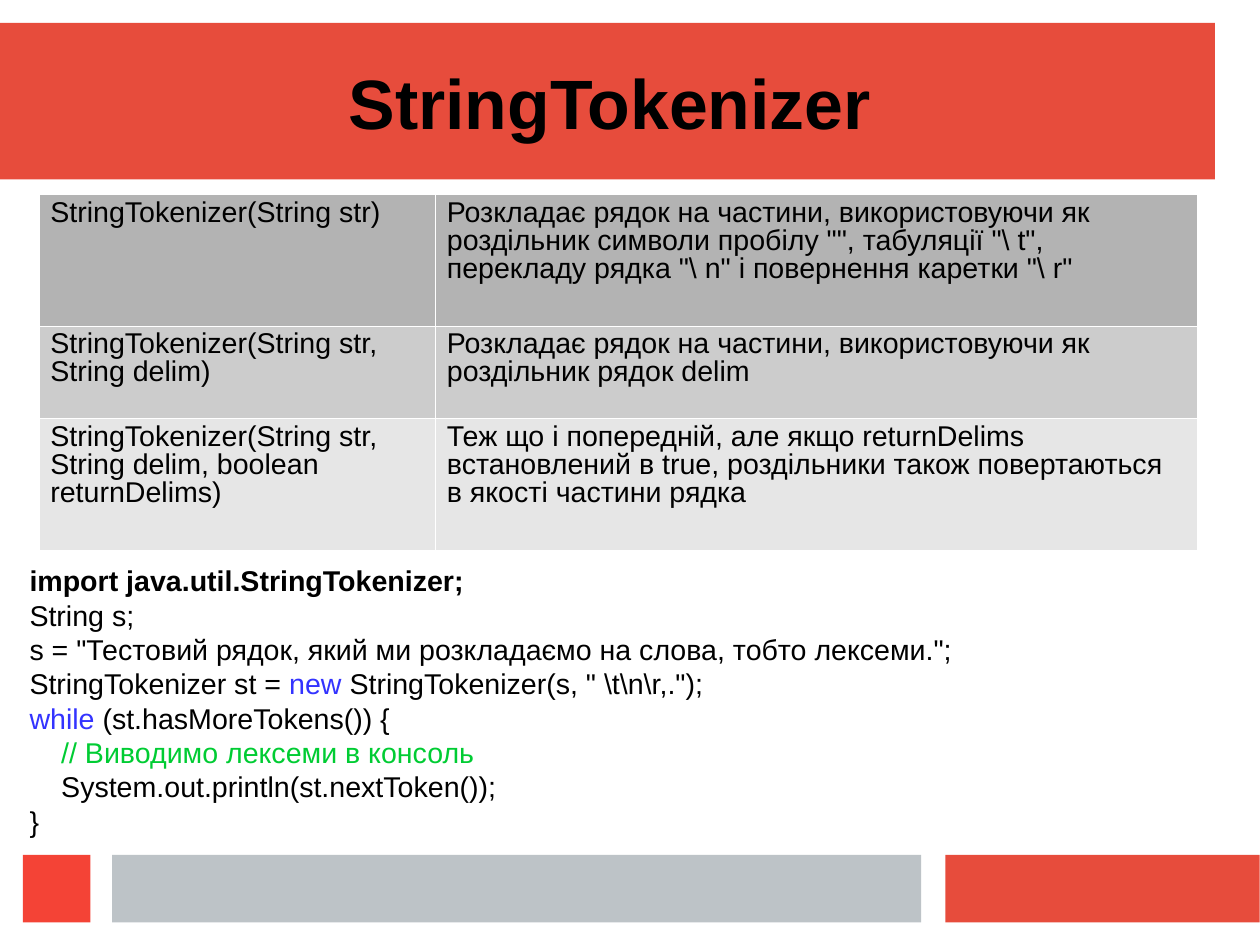
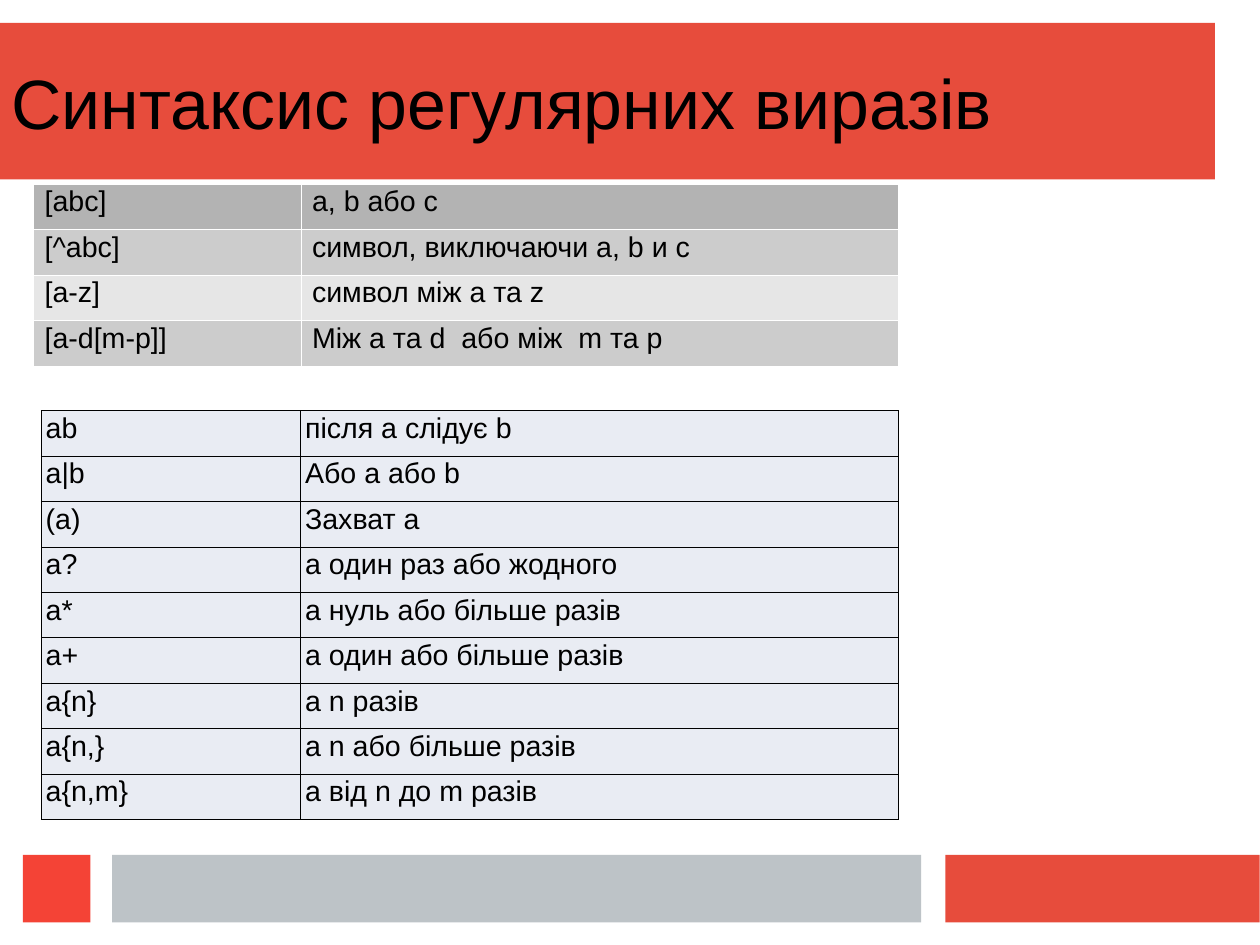
from itertools import cycle

from lxml import etree
from pptx import Presentation
from pptx.dml.color import RGBColor
from pptx.enum.shapes import MSO_SHAPE
from pptx.enum.text import MSO_ANCHOR, MSO_AUTO_SIZE, PP_ALIGN
from pptx.oxml.ns import qn
from pptx.util import Cm, Inches, Pt

RECT = MSO_SHAPE.RECTANGLE
TOP = MSO_ANCHOR.TOP
LEFT = PP_ALIGN.LEFT
NO_FIT = MSO_AUTO_SIZE.NONE

COLORS = {
    "red": "E74C3C",
    "bright": "F44336",
    "silver": "BDC3C7",
    "head": "B3B3B3",
    "dark_row": "CCCCCC",
    "light_row": "E6E6E6",
    "pale": "E9ECF3",
    "text": "000000",
    "white": "FFFFFF",
    "keyword": "3333FF",
    "comment": "00CC33",
}
BANDS = [
    (0, 0.2, 10.63, 1.37, "red"),
    (8.27, 7.48, 2.75, 0.59, "red"),
    (0.98, 7.48, 7.08, 0.59, "silver"),
    (0.2, 7.48, 0.59, 0.59, "bright"),
]
GREY_GRID = ("white", 0.06)
BLACK_GRID = ("text", 0.23)


class Deck:
    font = "Arial"
    title_size = 44
    body_size = 18

    def __init__(self, width, height):
        self.prs = Presentation()
        self.prs.slide_width = width
        self.prs.slide_height = height
        self.layout = self.prs.slide_layouts.get_by_name("Title Only")
        self.s = None

    def rgb(self, name):
        return RGBColor.from_string(COLORS[name])

    def slide(self):
        self.s = self.prs.slides.add_slide(self.layout)

    def layout_bands(self):
        """Draw the bands on the current slide, then move them to its layout, at the back."""
        tree = self.layout.shapes._spTree
        for i, (x, y, w, h, color) in enumerate(BANDS):
            sp = self.s.shapes.add_shape(RECT, Inches(x), Inches(y), Inches(w), Inches(h))
            sp.name = f"Band {i + 1}"
            sp.shadow.inherit = False
            sp.fill.solid()
            sp.fill.fore_color.rgb = self.rgb(color)
            sp.line.fill.background()
            tree.insert(2 + i, sp._element)

    def run(self, p, text, size, color="text", bold=False):
        r = p.add_run()
        r.text = text
        r.font.name = self.font
        r.font.size = Pt(size)
        r.font.bold = bold
        r.font.color.rgb = self.rgb(color)

    def title(self, text, x, w, h, bold=False):
        sp = self.s.shapes.title
        sp.left, sp.top, sp.width, sp.height = Inches(x), Inches(0.47), Inches(w), Inches(h)
        tf = sp.text_frame
        tf.word_wrap = True
        tf.auto_size = NO_FIT
        tf.vertical_anchor = TOP
        p = tf.paragraphs[0]
        p.alignment = LEFT
        self.run(p, text, self.title_size, bold=bold)

    def code(self, lines, x, y, w, h):
        """Each line is a list of (text, color, bold) runs; color and bold may be left out."""
        tf = self.s.shapes.add_textbox(Inches(x), Inches(y), Inches(w), Inches(h)).text_frame
        tf.word_wrap = True
        for i, line in enumerate(lines):
            p = tf.add_paragraph() if i else tf.paragraphs[0]
            for text, *style in line:
                self.run(p, text, self.body_size, *style)

    def borders(self, cell, color, width):
        tc_pr = cell._tc.get_or_add_tcPr()
        for side in ("lnL", "lnR", "lnT", "lnB"):
            ln = etree.SubElement(tc_pr, qn(f"a:{side}"), w=str(int(Pt(width))))
            fill = etree.SubElement(ln, qn("a:solidFill"))
            etree.SubElement(fill, qn("a:srgbClr"), val=COLORS[color])

    def table(self, rows, x, y, cols, heights, grid, fills, inset=0.1):
        frame = self.s.shapes.add_table(len(rows), len(cols), Inches(x), Inches(y),
                                        Inches(sum(cols)), Inches(sum(heights)))
        table = frame.table
        table.first_row = table.horz_banding = False
        for col, w in zip(table.columns, cols):
            col.width = Inches(w)
        for row, h, texts, fill in zip(table.rows, heights, rows, fills):
            row.height = Inches(h)
            for cell, text in zip(row.cells, texts):
                cell.margin_left = cell.margin_right = Inches(inset)
                self.borders(cell, *grid)
                cell.fill.solid()
                cell.fill.fore_color.rgb = self.rgb(fill)
                p = cell.text_frame.paragraphs[0]
                p.line_spacing = 0.87
                self.run(p, text, self.body_size)

    def grey_table(self, rows, x, y, cols, heights):
        fills = ["head"] + [f for f, _ in zip(cycle(["dark_row", "light_row"]), rows[1:])]
        self.table(rows, x, y, cols, heights, GREY_GRID, fills)


def equal_rows(rows, total):
    return [total / len(rows)] * len(rows)


CONSTRUCTORS = [
    ("StringTokenizer(String str)",
     'Розкладає рядок на частини, використовуючи як роздільник символи пробілу "", '
     'табуляції "\\ t", перекладу рядка "\\ n" і повернення каретки "\\ r"'),
    ("StringTokenizer(String str, String delim)",
     "Розкладає рядок на частини, використовуючи як роздільник рядок delim"),
    ("StringTokenizer(String str, String delim, boolean returnDelims)",
     "Теж що і попередній, але якщо returnDelims встановлений в true, "
     "роздільники також повертаються в якості частини рядка"),
]
EXAMPLE = [
    [("import java.util.StringTokenizer;", "text", True)],
    [("String s;",)],
    [('s = "Тестовий рядок, який ми розкладаємо на слова, тобто лексеми.";',)],
    [("StringTokenizer st = ",), ("new", "keyword"),
     (' StringTokenizer(s, " \\t\\n\\r,.");',)],
    [("while", "keyword"), (" (st.hasMoreTokens()) {",)],
    [("    // Виводимо лексеми в консоль", "comment")],
    [("    System.out.println(st.nextToken());",)],
    [("}",)],
]
CHAR_CLASSES = [
    ("[abc]", "a, b або c"),
    ("[^abc]", "символ, виключаючи a, b и c"),
    ("[a-z]", "символ між a та z"),
    ("[a-d[m-p]]", "Між a та d  або між  m та p"),
]
QUANTIFIERS = [
    ("ab", "після a слідує b"),
    ("a|b", "Або a або b"),
    ("(a)", "Захват а"),
    ("а?", "a один раз або жодного"),
    ("a*", "a нуль або більше разів"),
    ("a+", "a один або більше разів"),
    ("a{n}", "a n разів"),
    ("a{n,}", "a n або більше разів"),
    ("a{n,m}", "a від n до m разів"),
]


def main():
    deck = Deck(Cm(28), Cm(21))

    deck.slide()
    deck.layout_bands()
    deck.title("StringTokenizer", 2.95, 6.08, 0.8, bold=True)
    deck.grey_table(CONSTRUCTORS, 0.34, 1.7, [3.47, 6.66], [1.15, 0.81, 1.15])
    deck.code(EXAMPLE, 0.16, 4.88, 10.08, 2.62)

    deck.slide()
    deck.title("Синтаксис регулярних виразів", 0, 10.15, 0.85)
    deck.table(QUANTIFIERS, 0.36, 3.59, [2.27, 5.23], equal_rows(QUANTIFIERS, 3.58),
               BLACK_GRID, cycle(["pale"]), inset=0.04)
    deck.grey_table(CHAR_CLASSES, 0.29, 1.61, [2.34, 5.23], equal_rows(CHAR_CLASSES, 1.59))

    deck.prs.save("out.pptx")


if __name__ == "__main__":
    main()
